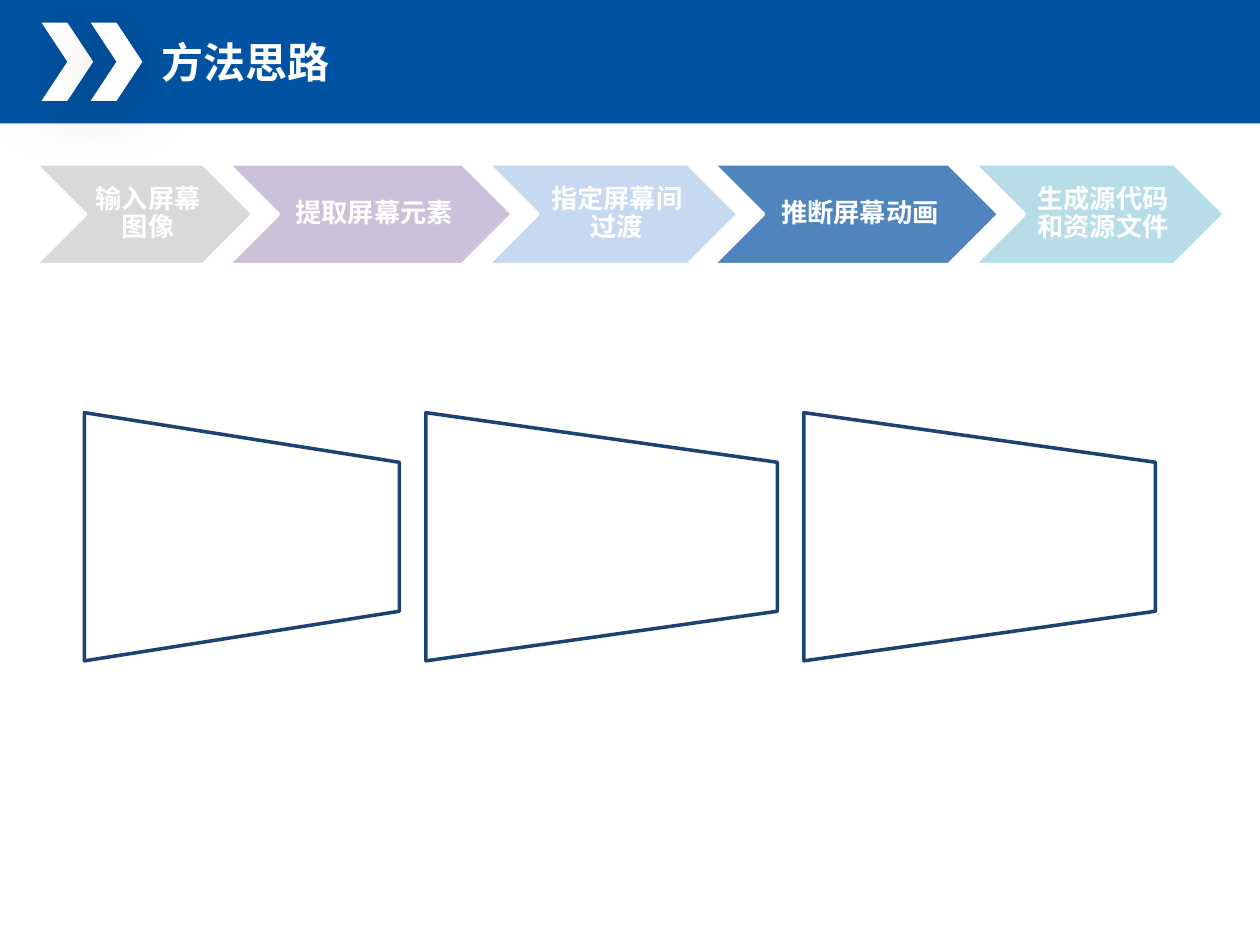
import pptx
import pptx.util
import pptx.dml.color
import pptx.enum.shapes
import pptx.enum.text
import pptx.oxml
import pptx.oxml.ns
from pptx.util import Inches

SHAPES = pptx.enum.shapes.MSO_SHAPE
ALIGN = pptx.enum.text.PP_ALIGN
ANCHOR = pptx.enum.text.MSO_ANCHOR


def color(value):
    return pptx.dml.color.RGBColor.from_string(value)


class SlideBuilder:
    font_name = "Noto Sans CJK SC"
    white = "FFFFFF"
    header_blue = "0053A3"
    outline_blue = "1C4271"

    def __init__(self, page):
        self.page = page

    def shape(self, kind, left, top, width, height, fill, line=None):
        shape = self.page.shapes.add_shape(
            kind, Inches(left), Inches(top), Inches(width), Inches(height))
        shape.shadow.inherit = False
        shape.fill.solid()
        shape.fill.fore_color.rgb = color(fill)
        if line:
            shape.line.color.rgb = color(line)
            shape.line.width = pptx.util.Pt(2)
        else:
            shape.line.fill.background()
        return shape

    def soft_shadow(self, shape):
        effects = shape.element.spPr.find(pptx.oxml.ns.qn("a:effectLst"))
        effects.append(pptx.oxml.parse_xml(
            f'<a:outerShdw {pptx.oxml.ns.nsdecls("a")} blurRad="{pptx.util.Pt(39)}"'
            f' dist="{pptx.util.Pt(3)}" dir="{45 * 60000}" algn="tl" rotWithShape="0">'
            '<a:srgbClr val="000000"><a:alpha val="20000"/></a:srgbClr></a:outerShdw>'))

    def label(self, box, text, size, align):
        para = box.text_frame.paragraphs[0]
        para.text = text
        para.alignment = align
        para.font.size = pptx.util.Pt(size)
        para.font.bold = True
        para.font.color.rgb = color(self.white)
        para.font.name = self.font_name
        for properties in box.element.iter(pptx.oxml.ns.qn("a:defRPr")):
            properties.append(pptx.oxml.parse_xml(
                f'<a:ea {pptx.oxml.ns.nsdecls("a")} typeface="{self.font_name}"/>'))
        return para

    def header(self, text):
        self.shape(SHAPES.RECTANGLE, 0, 0, 10, 0.98, self.header_blue)
        for left in (0.33, 0.72):
            chevron = self.shape(SHAPES.CHEVRON, left, 0.18, 0.41, 0.62, self.white)
            self.soft_shadow(chevron)
        title = self.page.shapes.title
        title.left, title.top = Inches(1.18), Inches(0.24)
        title.width, title.height = Inches(3.88), Inches(0.5)
        title.text_frame.vertical_anchor = ANCHOR.TOP
        title.text_frame.auto_size = pptx.enum.text.MSO_AUTO_SIZE.SHAPE_TO_FIT_TEXT
        self.label(title, text, 24, ALIGN.LEFT)
        chevron.element.addnext(title.element)

    def step(self, left, width, text, fill):
        top, height, inset = 1.3, 0.8, 0.4
        self.shape(SHAPES.CHEVRON, left, top, width, height, fill, self.white)
        box = self.page.shapes.add_textbox(
            Inches(left + inset), Inches(top), Inches(width - 2 * inset + 0.01), Inches(height))
        frame = box.text_frame
        frame.word_wrap = True
        frame.vertical_anchor = ANCHOR.MIDDLE
        frame.margin_left = Inches(0.07)
        frame.margin_right = frame.margin_top = frame.margin_bottom = Inches(0.02)
        self.label(box, text, 15, ALIGN.CENTER).line_spacing = 0.9

    def funnel(self, left, length):
        breadth, middle = 1.97, 4.26
        shape = self.shape(
            SHAPES.FLOWCHART_MANUAL_OPERATION, left + (length - breadth) / 2,
            middle - length / 2, breadth, length, self.white, self.outline_blue)
        shape.rotation = 270


def main():
    deck = pptx.Presentation()
    deck.slide_width, deck.slide_height = Inches(10), Inches(7.5)
    builder = SlideBuilder(deck.slides.add_slide(deck.slide_layouts[5]))
    builder.header("方法思路")

    steps = [
        ("输入屏幕图像", 1.73, "D9D9D9"),
        ("提取屏幕元素", 2.26, "CCC1DA"),
        ("指定屏幕间过渡", 1.99, "C6D9F1"),
        ("推断屏幕动画", 2.27, "5185BD"),
        ("生成源代码和资源文件", 1.99, "B7DEE8"),
    ]
    left, overlap = 0.28, 0.2
    for text, width, fill in steps:
        builder.step(left, width, text, fill)
        left += width - overlap

    for left, length in ((0.67, 2.5), (3.38, 2.79), (6.38, 2.79)):
        builder.funnel(left, length)

    deck.save("out.pptx")


if __name__ == "__main__":
    main()
